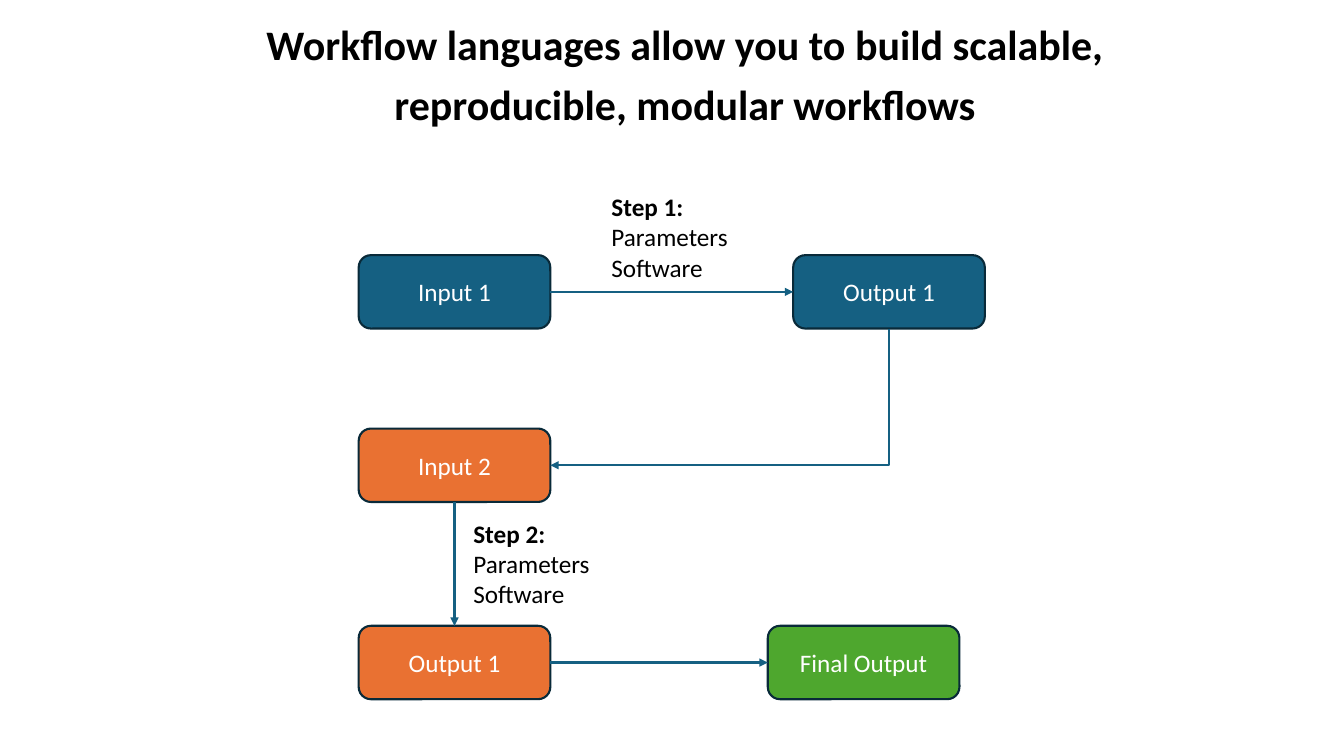
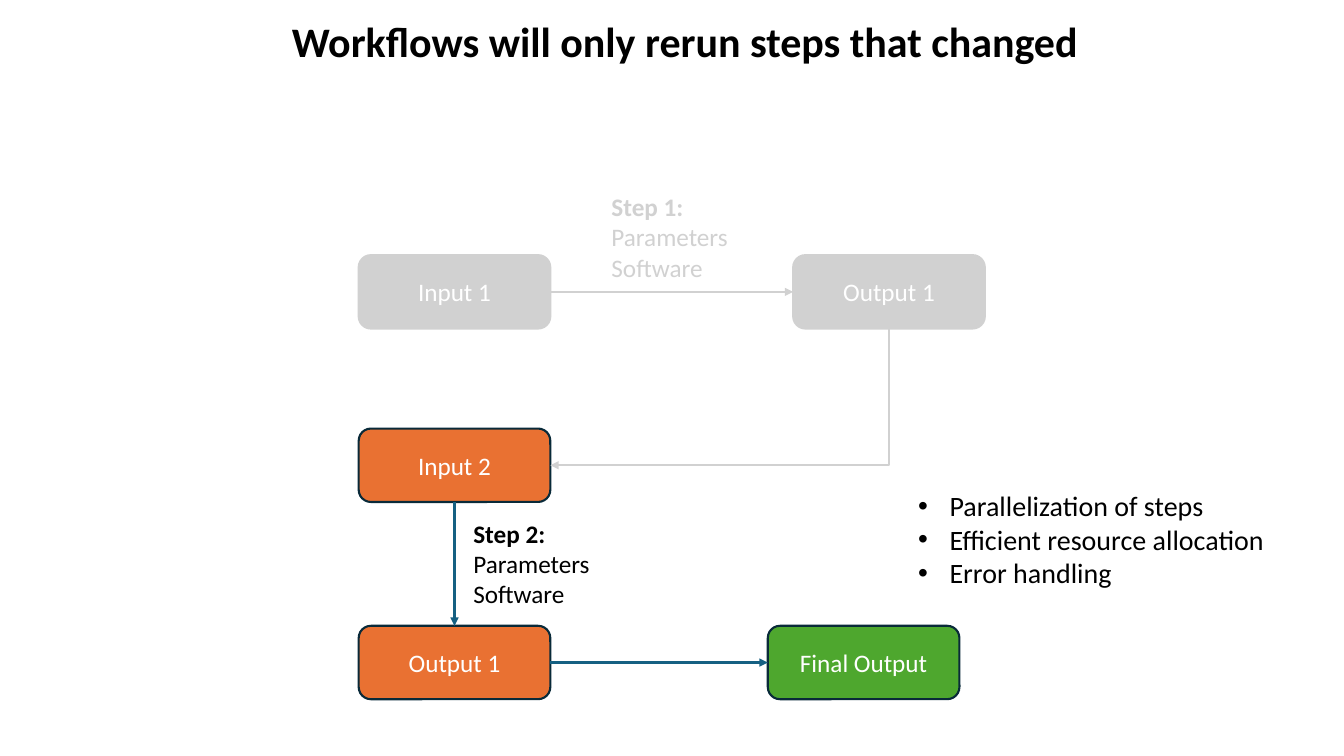
from lxml import etree
from pptx import Presentation, util as u
from pptx.dml.color import RGBColor
from pptx.enum import shapes, text
from pptx.oxml.ns import qn

FONT = "Calibri"
HUES = {
    "ink": "000000", "paper": "FFFFFF", "edge": "092A39", "blue": "156082",
    "orange": "E97132", "green": "4EA72E", "faded": "D1D1D1",
}
NODE = (4.83, 1.85)
TOP, LEFT, BOTTOM, RIGHT = range(4)  # connection sites of a node
STEP = ["Parameters", "Software"]


def rgb(name):
    return RGBColor.from_string(HUES[name])


def bullet(para, indent=0.79):
    props = para._p.get_or_add_pPr()
    props.set("marL", str(u.Cm(indent)))
    props.set("indent", str(-u.Cm(indent)))
    etree.SubElement(props, qn("a:buFont")).set("typeface", "Arial")
    etree.SubElement(props, qn("a:buChar")).set("char", "•")


def write(shape, lines, size=18, hue="ink", bold=0, align="LEFT",
          anchor="TOP", space=None, bullets=False):
    """Fill a shape with paragraphs; the first `bold` of them are bold."""
    frame = shape.text_frame
    frame.word_wrap = True
    frame.vertical_anchor = getattr(text.MSO_ANCHOR, anchor)
    for i, line in enumerate(lines):
        para = frame.paragraphs[0] if i == 0 else frame.add_paragraph()
        if bullets:
            bullet(para)
        para.alignment = getattr(text.PP_ALIGN, align)
        if space:
            para.line_spacing = space
        run = para.add_run()
        run.text = line
        font = run.font
        font.name, font.size, font.bold = FONT, u.Pt(size), i < bold
        font.color.rgb = rgb(hue)


def label(slide, box, lines, **style):
    area = slide.shapes.add_textbox(*map(u.Cm, box))
    write(area, lines, **style)
    return area


def title(slide, words, height):
    label(slide, (4.19, 0, 26.16, height), [words], size=30, bold=1,
          align="CENTER", anchor="MIDDLE", space=1.2)


def node(slide, x, y, name, fill, edge="edge"):
    box = slide.shapes.add_shape(shapes.MSO_SHAPE.ROUNDED_RECTANGLE,
                                 *map(u.Cm, (x, y, *NODE)))
    box.shadow.inherit = False
    box.fill.solid()
    box.fill.fore_color.rgb = rgb(fill)
    box.line.color.rgb = rgb(edge)
    box.line.width = u.Pt(1.5)
    write(box, [name], hue="paper", align="CENTER", anchor="MIDDLE")
    return box


def arrow(slide, start, out, end, into, hue, kind="STRAIGHT"):
    link = slide.shapes.add_connector(
        getattr(shapes.MSO_CONNECTOR, kind), 0, 0, 0, 0)
    link.begin_connect(start, out)
    link.end_connect(end, into)
    link.line.color.rgb = rgb(hue)
    link.line.width = u.Pt(1.5)
    etree.SubElement(link.line._get_or_add_ln(), qn("a:tailEnd")).set(
        "type", "triangle")
    etree.SubElement(link._element.spPr, qn("a:effectLst"))
    return link


def corner(link):
    """Turn an elbow into one bend that runs down, then left."""
    wide, high = link.width, link.height
    mid_x, mid_y = link.left + wide // 2, link.top + high // 2
    props = link._element.spPr
    props.find(qn("a:prstGeom")).set("prst", "bentConnector2")
    frame = props.find(qn("a:xfrm"))
    for flip in ("flipH", "flipV"):
        frame.attrib.pop(flip, None)
    frame.set("rot", "5400000")
    link.left, link.top = mid_x - high // 2, mid_y - wide // 2
    link.width, link.height = high, wide


def flow(slide, x, y, skip=False):
    """Draw the workflow from its top left; skip greys out step 1."""
    fill, edge, ink, line = (["faded"] * 4 if skip
                             else ["blue", "edge", "ink", "blue"])
    row1, row2, row3 = y + 1.73, y + 6.1, y + 11.07
    in1 = node(slide, x, row1, "Input 1", fill, edge)
    out1 = node(slide, x + 10.95, row1, "Output 1", fill, edge)
    in2 = node(slide, x, row2, "Input 2", "orange")
    out2 = node(slide, x, row3, "Output 1", "orange")
    final = node(slide, x + 10.31, row3, "Final Output", "green")

    arrow(slide, in1, RIGHT, out1, LEFT, line)
    corner(arrow(slide, out1, BOTTOM, in2, RIGHT, line, "ELBOW"))
    arrow(slide, in2, BOTTOM, out2, TOP, "blue")
    arrow(slide, out2, RIGHT, final, LEFT, "blue")

    label(slide, (x + 6.12, y, NODE[0], 2.57), ["Step 1:", *STEP],
          hue=ink, bold=1)
    label(slide, (x + 2.64, y + 8.23, NODE[0], 2.57), ["Step 2:", *STEP],
          bold=1)


def main():
    deck = Presentation()
    deck.slide_width, deck.slide_height = u.Cm(33.87), u.Cm(19.05)
    blank = deck.slide_layouts[6]

    build = deck.slides.add_slide(blank)
    title(build, "Workflow languages allow you to build scalable, "
                 "reproducible, modular workflows", 3.45)
    flow(build, 9.04, 4.7)

    rerun = deck.slides.add_slide(blank)
    title(rerun, "Workflows will only rerun steps that changed", 1.8)
    flow(rerun, 9.04, 4.7, skip=True)
    label(rerun, (22.89, 12.19, 9.65, 2.82),
          ["Parallelization of steps", "Efficient resource allocation",
           "Error handling"], size=20, bullets=True)

    deck.save("out.pptx")


if __name__ == "__main__":
    main()
